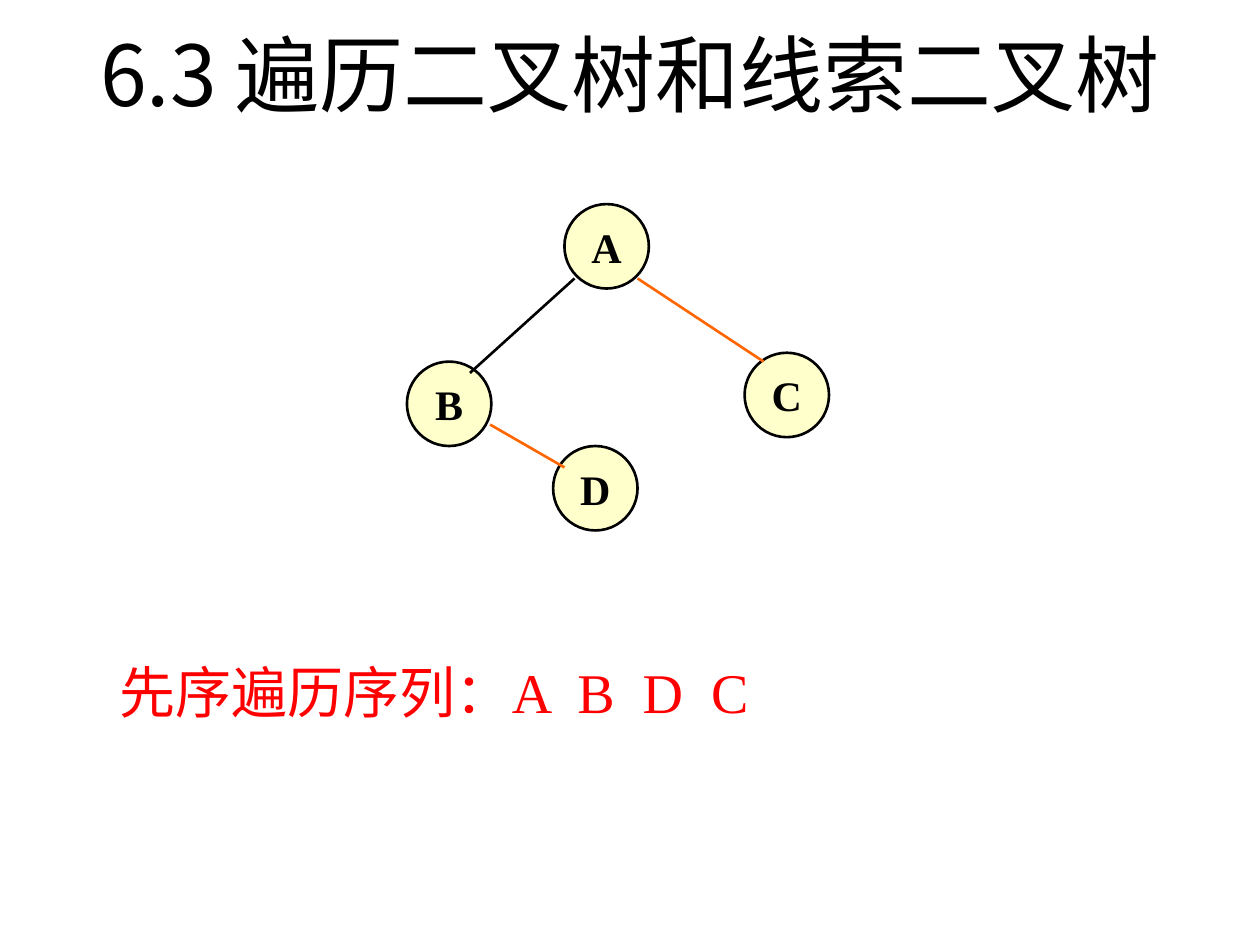
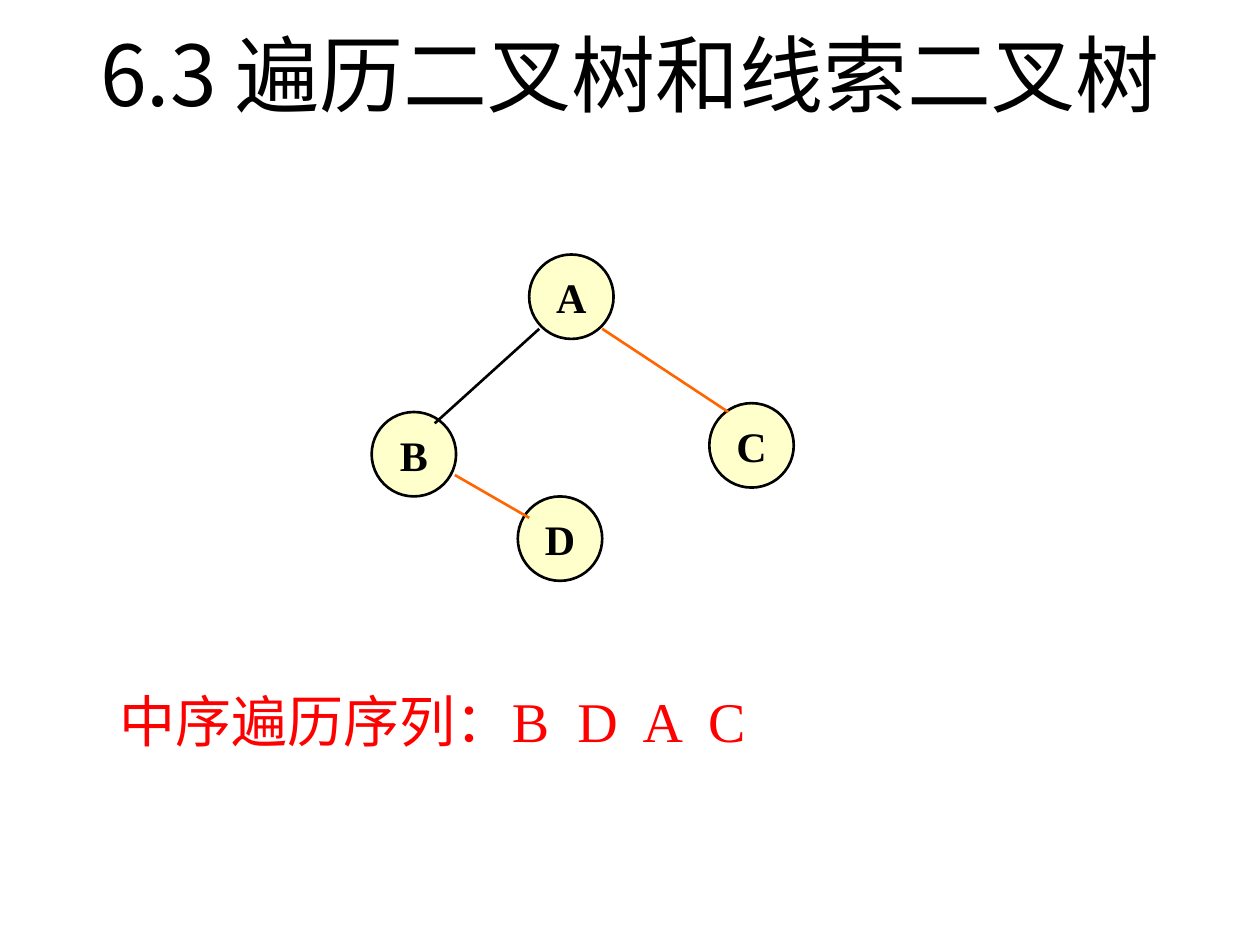
from lxml.etree import SubElement
from pptx import Presentation
from pptx.dml.color import RGBColor
from pptx.enum.shapes import MSO_CONNECTOR, MSO_SHAPE
from pptx.enum.text import MSO_ANCHOR, MSO_AUTO_SIZE, PP_ALIGN
from pptx.oxml.ns import qn
from pptx.util import Inches, Pt

BLACK, CREAM, ORANGE, RED = "000000", "FFFFCC", "FF6600", "FF0000"
LATIN_FONT, CHINESE_FONT = "Times New Roman", "Noto Sans CJK SC"
TITLE = "6.3 遍历二叉树和线索二叉树"
LINE_WIDTH = 1.5
NODE_SIZE = 0.67
NODES = {"A": (1.25, 0), "D": (1.16, 1.92), "B": (0, 1.25), "C": (2.68, 1.18)}
EDGES = [
    ((1.33, 0.59), (0.5, 1.34), BLACK),
    ((1.83, 0.59), (2.83, 1.25), ORANGE),
    ((0.66, 1.75), (1.25, 2.09), ORANGE),
]
TRAVERSALS = [
    ("先序遍历序列：A  B  D  C", (3.23, 1.62), 5.17),
    ("中序遍历序列：B  D  A  C", (2.95, 2.02), 5.4),
]


def color(value):
    """Turn a hex string into a colour."""
    return RGBColor.from_string(value)


def write(shape, text, size, font=LATIN_FONT, fill=BLACK, bold=False,
          align=PP_ALIGN.LEFT, anchor=MSO_ANCHOR.TOP, wrap=False,
          auto_size=MSO_AUTO_SIZE.NONE):
    """Put one formatted paragraph into a shape."""
    frame = shape.text_frame
    frame.word_wrap = wrap
    frame.auto_size = auto_size
    frame.vertical_anchor = anchor
    paragraph = frame.paragraphs[0]
    paragraph.alignment = align
    run = paragraph.add_run()
    run.text = text
    run.font.size = Pt(size)
    run.font.bold = bold
    run.font.color.rgb = color(fill)
    run.font.name = font
    properties = run.font._element
    SubElement(properties, qn("a:ea")).set("typeface", CHINESE_FONT)


def style_line(line, value):
    """Give a line its colour and the shared width."""
    line.color.rgb = color(value)
    line.width = Pt(LINE_WIDTH)


def add_title(slide):
    """Place and format the title placeholder."""
    title = slide.shapes.title
    title.left, title.top = Inches(0.5), Inches(0.13)
    title.width, title.height = Inches(9), Inches(0.95)
    write(title, TITLE, 48, font=CHINESE_FONT, align=PP_ALIGN.CENTER, wrap=True)


def add_node(shapes, label, left, top):
    """Draw one labelled tree node."""
    node = shapes.add_shape(MSO_SHAPE.OVAL, Inches(left), Inches(top),
                            Inches(NODE_SIZE), Inches(NODE_SIZE))
    node.shadow.inherit = False
    node.fill.solid()
    node.fill.fore_color.rgb = color(CREAM)
    style_line(node.line, BLACK)
    write(node, label, 24, bold=True, align=PP_ALIGN.CENTER, anchor=MSO_ANCHOR.MIDDLE)


def add_edge(shapes, start, end, value):
    """Draw one straight branch without a shadow."""
    edge = shapes.add_connector(MSO_CONNECTOR.STRAIGHT,
                                *(Inches(length) for length in (*start, *end)))
    style_line(edge.line, value)
    SubElement(edge._element.spPr, qn("a:effectLst"))


def add_tree(slide, left, top):
    """Draw the grouped binary tree from its top left corner."""
    shapes = slide.shapes.add_group_shape().shapes
    for label, (x, y) in NODES.items():
        add_node(shapes, label, left + x, top + y)
    for (x1, y1), (x2, y2), value in EDGES:
        add_edge(shapes, (left + x1, top + y1), (left + x2, top + y2), value)


def add_sequence(slide, text, top):
    """Write the traversal sequence below the tree."""
    box = slide.shapes.add_textbox(Inches(0.85), Inches(top), Inches(5.32), Inches(0.64))
    write(box, text, 32, fill=RED, auto_size=MSO_AUTO_SIZE.SHAPE_TO_FIT_TEXT)


def add_traversal_slide(presentation, sequence, tree_corner, sequence_top):
    """Build one traversal slide."""
    slide = presentation.slides.add_slide(presentation.slide_layouts[5])
    add_title(slide)
    add_tree(slide, *tree_corner)
    add_sequence(slide, sequence, sequence_top)


def main():
    """Build and save the presentation."""
    presentation = Presentation()
    presentation.slide_width, presentation.slide_height = Inches(10), Inches(7.5)
    for traversal in TRAVERSALS:
        add_traversal_slide(presentation, *traversal)
    presentation.save("out.pptx")


if __name__ == "__main__":
    main()
